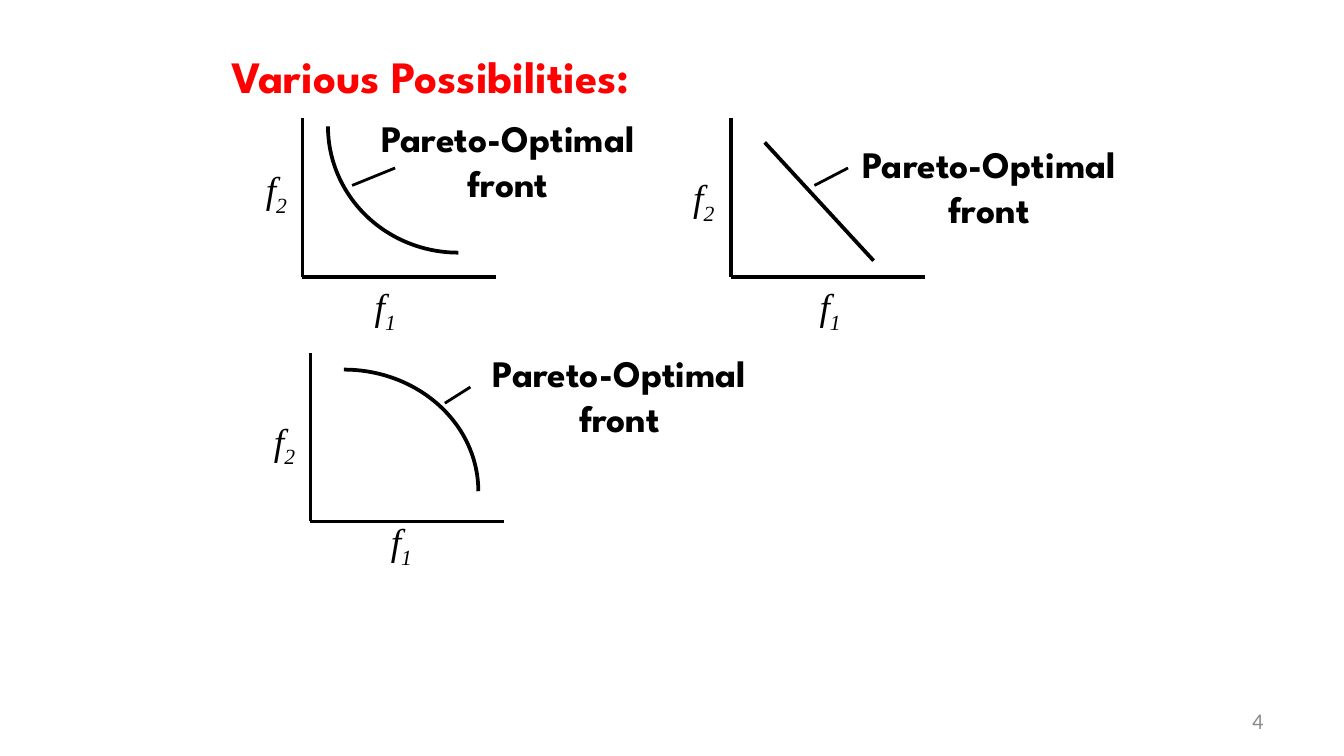
from lxml.etree import SubElement
from pptx import Presentation
from pptx.dml.color import RGBColor
from pptx.enum.shapes import MSO_CONNECTOR as Link, MSO_SHAPE as Kind
from pptx.enum.text import MSO_ANCHOR as Anchor, MSO_AUTO_SIZE as Fit, PP_ALIGN as Align
from pptx.oxml.ns import qn
from pptx.util import Inches, Pt

RED = RGBColor(0xFF, 0, 0)
BLACK = RGBColor(0, 0, 0)
GRAY = RGBColor(0x8C, 0x8C, 0x8C)

# Content
TITLE = "Various Possibilities:"
FRONT = ["Pareto-Optimal", "front"]
PAGE = "4"
# Each plot: axis corner, axis height, front curve, pointer, text places
PLOTS = [
    dict(corner=(2.25, 2.06), tall=1.18, arc=(2.44, 0, 1.94, 1.88), turn=180,
         pointer=(2.62, 1.38, 2.94, 1.25),
         f1=(2.69, 2.06), f2=(1.88, 1.19), label=(2.64, 0.81)),
    dict(corner=(5.44, 2.06), tall=1.18, line=(5.69, 1.06, 6.5, 1.94),
         pointer=(6.06, 1.38, 6.31, 1.25),
         f1=(6, 2.06), f2=(5.06, 1.25), label=(6.22, 1)),
    dict(corner=(2.31, 3.88), tall=1.25, arc=(1.56, 2.75, 2, 1.81), turn=0,
         pointer=(3.31, 3, 3.5, 2.88),
         f1=(2.81, 3.81), f2=(1.94, 3.06), label=(3.47, 2.56)),
]
WIDE = 1.44  # length of every f1 axis

# Formats
HEAD = dict(name="League Spartan", size=Pt(24), bold=True)
LABEL = dict(name="League Spartan", size=Pt(20), bold=True)
MATH = dict(name="Times New Roman", size=Pt(20), italic=True)
SMALL = dict(name="Calibri", size=Pt(12))

# A 16:9 page
deck = Presentation()
deck.slide_width = Inches(10)
deck.slide_height = Inches(10 * 9 / 16)
slide = deck.slides.add_slide(deck.slide_layouts[5])
shapes = slide.shapes


def style(font, form, color):
    for key, value in form.items():
        setattr(font, key, value)
    font.color.rgb = color


def frame(shape, wrap=False, fit=Fit.SHAPE_TO_FIT_TEXT, anchor=Anchor.TOP):
    text = shape.text_frame
    for key, value in dict(word_wrap=wrap, auto_size=fit,
                           vertical_anchor=anchor).items():
        setattr(text, key, value)
    return text


def box(x, y, w, h, **form):
    return frame(shapes.add_textbox(*map(Inches, (x, y, w, h))), **form)


def stroke(ends, width=2):
    line = shapes.add_connector(Link.STRAIGHT, *map(Inches, ends))
    line.line.color.rgb = BLACK
    line.line.width = Pt(width)
    SubElement(line._element.spPr, qn("a:effectLst"))


def curve(place, turn):
    arc = shapes.add_shape(Kind.ARC, *map(Inches, place))
    arc.rotation = turn
    arc.shadow.inherit = False
    arc.fill.background()
    arc.line.color.rgb = BLACK
    arc.line.width = Pt(2)


def symbol(place, index):
    para = box(*place, 0.37, 0.44).paragraphs[0]
    for part in ("f", index):
        run = para.add_run()
        run.text = part
        style(run.font, MATH, BLACK)
    run._r.get_or_add_rPr().set("baseline", "-25000")


def label(place):
    text = box(*place, 2.28, 0.77)
    text.text = "\n".join(FRONT)
    for para in text.paragraphs:
        para.alignment = Align.CENTER
        style(para.font, LABEL, BLACK)


# Title
title = shapes.title
title.left, title.top, title.width, title.height = map(Inches, (1.62, 0.31, 3.39, 0.5))
text = frame(title)
text.text = TITLE
text.paragraphs[0].alignment = Align.LEFT
style(text.paragraphs[0].font, HEAD, RED)

# Plots
for plot in PLOTS:
    x, y = plot["corner"]
    stroke((x, y - plot["tall"], x, y))
    stroke((x, y, x + WIDE, y))
    if "arc" in plot:
        curve(plot["arc"], plot["turn"])
    else:
        stroke(plot["line"])
    symbol(plot["f2"], "2")
    symbol(plot["f1"], "1")
    label(plot["label"])
    stroke(plot["pointer"], 1.5)

# Page number
para = box(7.17, 5.21, 2.33, 0.3, wrap=True, fit=Fit.NONE,
           anchor=Anchor.MIDDLE).paragraphs[0]
para.text = PAGE
para.alignment = Align.RIGHT
style(para.font, SMALL, GRAY)

deck.save("out.pptx")
